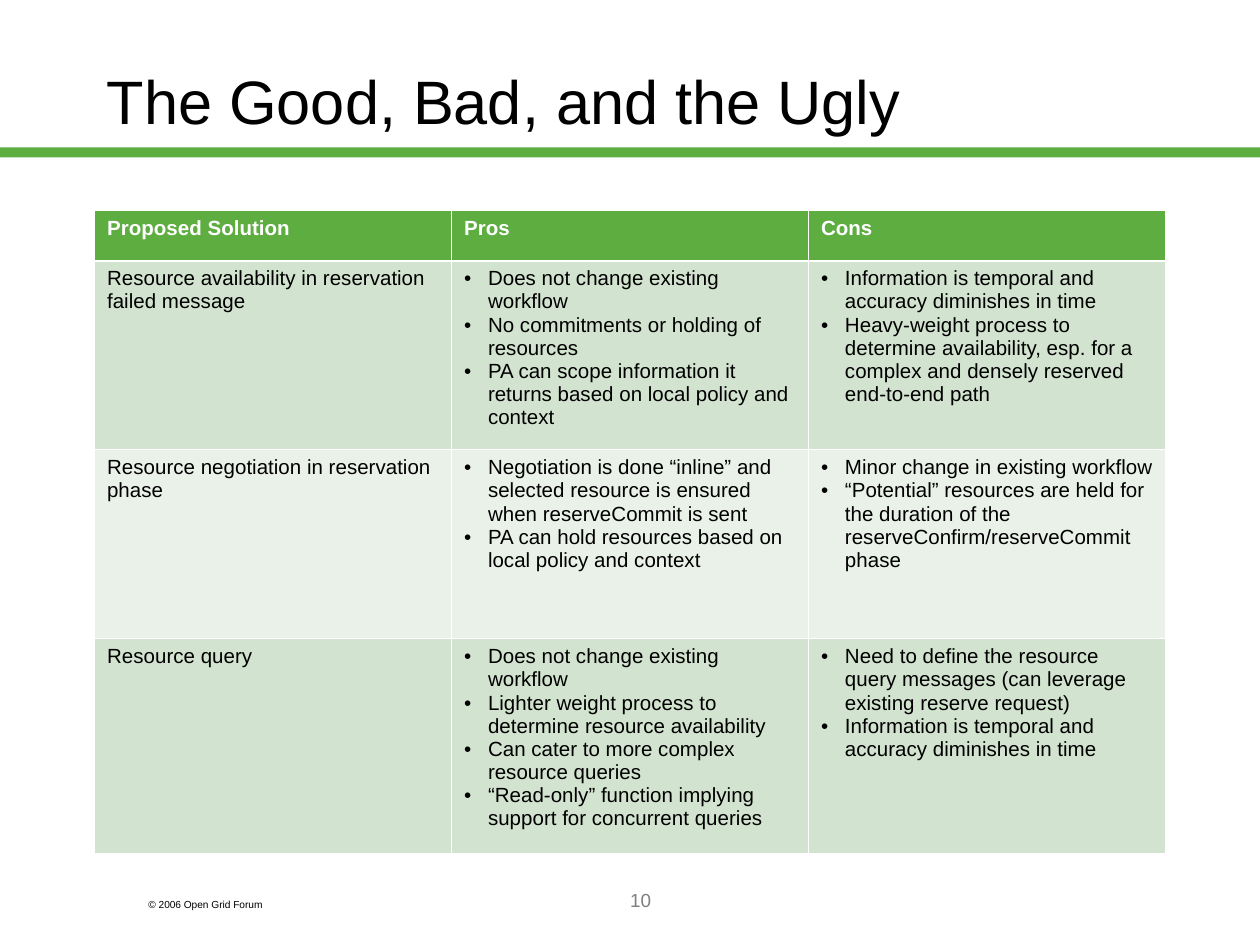
"""Builds a slide comparing three proposed solutions in a pros and cons table."""
from lxml import etree
from pptx import Presentation
from pptx import util as u
from pptx.dml.color import RGBColor
from pptx.enum import shapes, text
from pptx.oxml import ns

COLORS = {
    "green": "5DAD41",
    "band_dark": "D2E3CF",
    "band_light": "EAF1E8",
    "white": "FFFFFF",
    "black": "000000",
    "gray": "808080",
}
FONT = "Arial"
TABLE_SIZE = 11.7
HEADERS = ["Proposed Solution", "Pros", "Cons"]
SOLUTIONS = [
    (
        "Resource availability in reservation failed message",
        [
            "Does not change existing workflow",
            "No commitments or holding of resources",
            "PA can scope information it returns based on local policy and context",
        ],
        [
            "Information is temporal and accuracy diminishes in time",
            "Heavy-weight process to determine availability, esp. for a complex and densely reserved end-to-end path",
        ],
    ),
    (
        "Resource negotiation in reservation phase",
        [
            "Negotiation is done “inline” and selected resource is ensured when reserveCommit is sent",
            "PA can hold resources based on local policy and context",
        ],
        [
            "Minor change in existing workflow",
            "“Potential” resources are held for the duration of the reserveConfirm/reserveCommit phase",
        ],
    ),
    (
        "Resource query",
        [
            "Does not change existing workflow",
            "Lighter weight process to determine resource availability",
            "Can cater to more complex resource queries",
            "“Read-only” function implying support for concurrent queries",
        ],
        [
            "Need to define the resource query messages (can leverage existing reserve request)",
            "Information is temporal and accuracy diminishes in time",
        ],
    ),
]
ROW_HEIGHTS = [0.4, 1.5, 1.5, 1.7]


def rgb(name):
    return RGBColor.from_string(COLORS[name])


def format_runs(paragraph, size, color, bold=False):
    for run in paragraph.runs:
        run.font.name = FONT
        run.font.size = u.Pt(size)
        run.font.bold = bold
        run.font.color.rgb = rgb(color)


def add_text(slide, box, content, size, color="black",
             align=text.PP_ALIGN.LEFT, anchor=text.MSO_ANCHOR.TOP):
    shape = slide.shapes.add_textbox(*map(u.Inches, box))
    frame = shape.text_frame
    frame.word_wrap = True
    frame.vertical_anchor = anchor
    frame.text = content
    paragraph = frame.paragraphs[0]
    paragraph.alignment = align
    format_runs(paragraph, size, color)


def add_rule(slide):
    shape = slide.shapes.add_shape(
        shapes.MSO_SHAPE.RECTANGLE, *map(u.Inches, (0, 1.17, 10, 0.08)))
    shape.shadow.inherit = False
    shape.fill.solid()
    shape.fill.fore_color.rgb = rgb("green")
    shape.line.fill.background()


def add_bullet(paragraph):
    properties = paragraph._p.get_or_add_pPr()
    indent = u.Inches(0.19)
    properties.set("marL", str(indent))
    properties.set("indent", str(-indent))
    etree.SubElement(properties, ns.qn("a:buFont"), typeface=FONT)
    etree.SubElement(properties, ns.qn("a:buChar"), char="•")


def set_borders(cell, top, bottom):
    properties = cell._tc.get_or_add_tcPr()
    for side, width in (("L", 0.45), ("R", 0.45), ("T", top), ("B", bottom)):
        line = etree.SubElement(properties, ns.qn(f"a:ln{side}"), w=str(u.Pt(width)))
        fill = etree.SubElement(line, ns.qn("a:solidFill"))
        etree.SubElement(fill, ns.qn("a:srgbClr"), val=COLORS["white"])


def fill_cell(cell, content, row):
    header = row == 0
    set_borders(cell, 1.47 if row == 1 else 0.45, 1.47 if header else 0.45)
    cell.fill.solid()
    band = "band_dark" if row % 2 else "band_light"
    cell.fill.fore_color.rgb = rgb("green" if header else band)
    bulleted = isinstance(content, list)
    cell.text_frame.text = "\n".join(content) if bulleted else content
    for paragraph in cell.text_frame.paragraphs:
        if bulleted:
            add_bullet(paragraph)
        format_runs(paragraph, TABLE_SIZE, "white" if header else "black", header)


def add_comparison_table(slide):
    rows = [HEADERS, *SOLUTIONS]
    table = slide.shapes.add_table(
        len(rows), len(HEADERS),
        *map(u.Inches, (0.75, 1.67, 8.5, sum(ROW_HEIGHTS)))).table
    for row, (contents, height) in enumerate(zip(rows, ROW_HEIGHTS)):
        table.rows[row].height = u.Inches(height)
        for column, content in enumerate(contents):
            fill_cell(table.cell(row, column), content, row)


def main():
    presentation = Presentation()
    presentation.slide_width = u.Inches(10)
    presentation.slide_height = u.Inches(7.5)
    slide = presentation.slides.add_slide(presentation.slide_layouts[6])
    add_rule(slide)
    add_text(slide, (1.08, 7.08, 1.5, 0.2), "© 2006 Open Grid Forum", 5.8)
    add_text(slide, (0.75, 0.17, 8.5, 1.25), "The Good, Bad, and the Ugly", 35,
             anchor=text.MSO_ANCHOR.MIDDLE)
    add_text(slide, (2.17, 7, 5.83, 0.5), "10", 10.8, "gray",
             align=text.PP_ALIGN.CENTER)
    add_comparison_table(slide)
    presentation.save("out.pptx")


if __name__ == "__main__":
    main()
